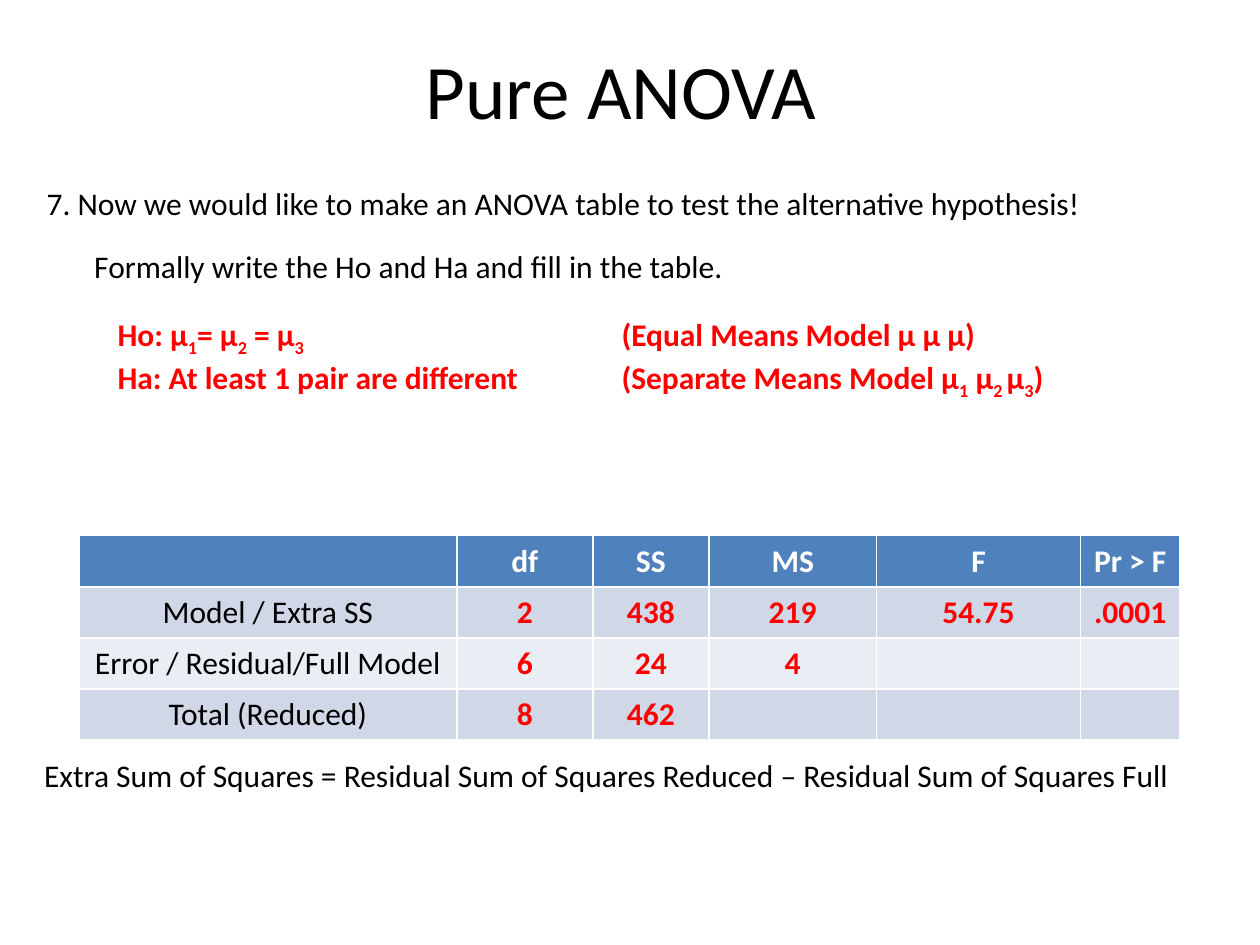
from pptx import Presentation
from pptx.dml.color import RGBColor as RGB
from pptx.enum.text import MSO_ANCHOR as Anchor, PP_ALIGN as Align
from pptx.oxml.ns import qn
from pptx.util import Cm, Pt
from lxml.etree import SubElement

HUES = {"ink": "000000", "red": "FF0000", "white": "FFFFFF",
        "head": "4F81BD", "dark": "D0D8E8", "light": "E9EDF4"}


def write(para, text, hue="ink", size=18, bold=False):
    """Add text to a paragraph; every second part between bars is a subscript."""
    for i, part in enumerate(text.split("|")):
        if not part:
            continue
        run = para.add_run()
        run.text = part
        style = {"name": "Calibri", "size": Pt(size), "bold": bold}
        for key, value in style.items():
            setattr(run.font, key, value)
        run.font.color.rgb = RGB.from_string(HUES[hue])
        if i % 2:
            run.font._element.set("baseline", "-25000")


def add_box(left, top, width, height):
    frame = slide.shapes.add_textbox(Cm(left), Cm(top), Cm(width), Cm(height)).text_frame
    frame.word_wrap = True
    return frame


deck = Presentation()
deck.slide_width, deck.slide_height = Cm(25.4), Cm(19.05)
slide = deck.slides.add_slide(deck.slide_layouts[6])

# Title
title = add_box(1.27, 0.2, 22.86, 3.18)
title.vertical_anchor = Anchor.MIDDLE
title.paragraphs[0].alignment = Align.CENTER
write(title.paragraphs[0], "Pure ANOVA ", size=44)

# Task and note lines
lines = [
    (0.69, 3.58, 23.7, "7. Now we would like to make an ANOVA table to test the alternative hypothesis!"),
    (1.65, 4.85, 19.05, "Formally write the Ho and Ha and fill in the table."),
    (0.64, 15.11, 23.7,
     "Extra Sum of Squares = Residual Sum of Squares Reduced – Residual Sum of Squares Full"),
]
for left, top, width, text in lines:
    write(add_box(left, top, width, 1.02).paragraphs[0], text)

# Hypotheses, with the models lined up at a tab stop
claims = [
    "Ho: µ|1|= µ|2| = µ|3|\t(Equal Means Model µ µ µ)",
    "Ha: At least 1 pair are different\t(Separate Means Model µ|1| µ|2 |µ|3|)",
]
frame = add_box(2.12, 6.22, 20.1, 1.8)
for i, text in enumerate(claims):
    para = frame.add_paragraph() if i else frame.paragraphs[0]
    tabs = SubElement(para._p.get_or_add_pPr(), qn("a:tabLst"))
    SubElement(tabs, qn("a:tab"), pos=str(Cm(10.16)), algn="l")
    write(para, text, "red", bold=True)

# ANOVA table
rows = [
    ["", "df", "SS", "MS", "F", "Pr > F"],
    ["Model / Extra SS", "2", "438", "219", "54.75", ".0001"],
    ["Error / Residual/Full Model", "6", "24", "4", "", ""],
    ["Total (Reduced)", "8", "462", "", "", ""],
]
widths = [7.62, 2.74, 2.34, 3.38, 4.11, 2.01]
fills = ["head", "dark", "light", "dark"]
table = slide.shapes.add_table(len(rows), len(widths), Cm(1.59), Cm(10.8),
                               Cm(sum(widths)), Cm(4.12)).table
for col, width in zip(table.columns, widths):
    col.width = Cm(width)
for r, row in enumerate(rows):
    table.rows[r].height = Cm(1.03)
    for c, text in enumerate(row):
        cell = table.cell(r, c)
        cell.fill.solid()
        cell.fill.fore_color.rgb = RGB.from_string(HUES[fills[r]])
        para = cell.text_frame.paragraphs[0]
        para.alignment = Align.CENTER
        hue = "white" if r == 0 else "red" if c else "ink"
        write(para, text, hue, bold=hue != "ink")

deck.save("out.pptx")
